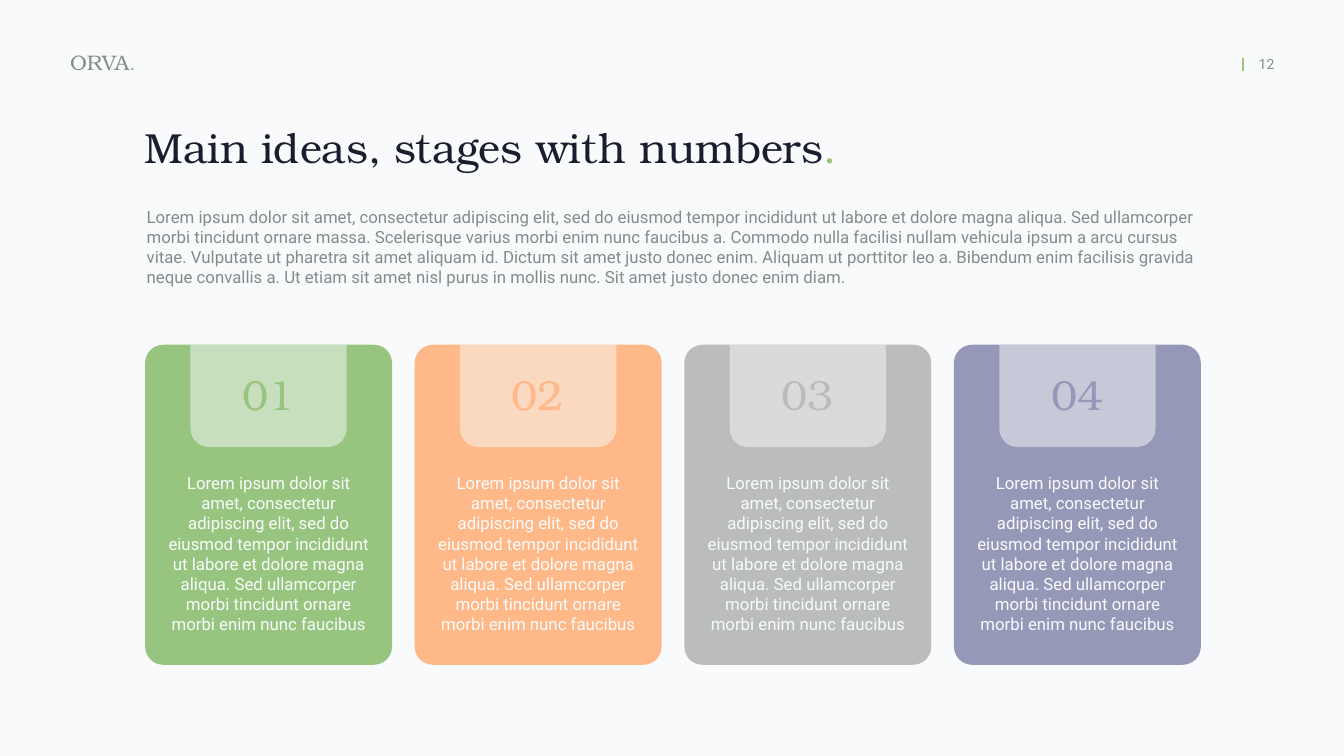
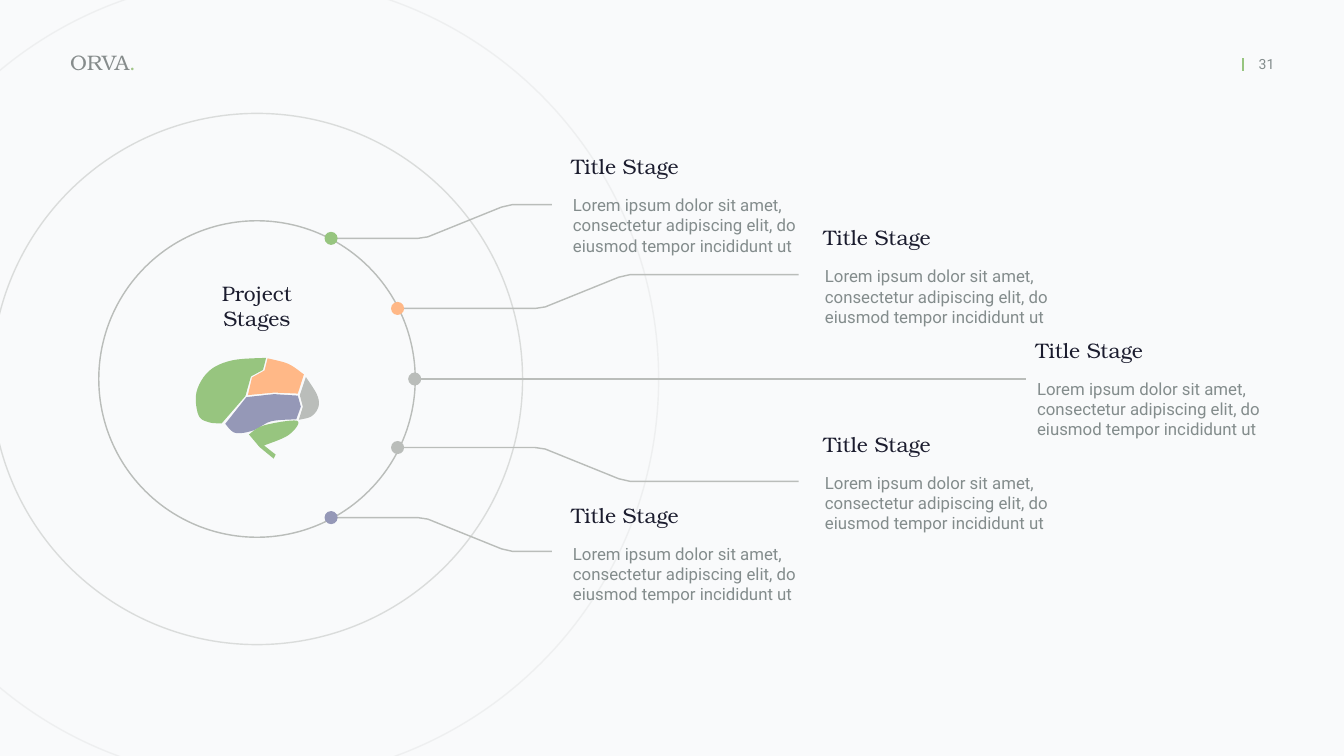
from dataclasses import dataclass
from lxml.etree import SubElement
from pptx import Presentation
from pptx.dml.color import RGBColor
from pptx.enum.shapes import MSO_CONNECTOR, MSO_SHAPE
from pptx.enum.text import MSO_ANCHOR, MSO_AUTO_SIZE, PP_ALIGN
from pptx.oxml.ns import qn
from pptx.util import Inches, Pt


@dataclass(frozen=True)
class Theme:
    serif: str = "TeX Gyre Bonum"
    sans: str = "Roboto"
    paper: str = "F9FAFB"
    ink: str = "1B1C2E"
    muted: str = "838C8C"
    brand: str = "868C8C"
    brand_dot: str = "A1C587"
    card_copy: str = "F8FBFC"
    green: str = "97C57F"
    orange: str = "FFB887"
    gray: str = "BABDBA"
    violet: str = "9598B7"
    display: int = 60
    heading: int = 30
    copy: int = 24
    page: int = 20
    rule: int = 2


@dataclass(frozen=True)
class Tier:
    hues: tuple
    dot_x: float
    dot_rise: float
    knee: float
    line_end: float
    label_left: float
    label_rise: float


THEME = Theme()
LOREM = "Lorem ipsum dolor sit amet, consectetur adipiscing elit, "
CARD_COPY = LOREM + (
    "sed do eiusmod tempor incididunt ut labore et dolore magna aliqua. "
    "Sed ullamcorper morbi tincidunt ornare morbi enim nunc faucibus"
)
INTRO = LOREM + (
    "sed do eiusmod tempor incididunt ut labore et dolore magna aliqua. "
    "Sed ullamcorper morbi tincidunt ornare massa. Scelerisque varius morbi enim "
    "nunc faucibus a. Commodo nulla facilisi nullam vehicula ipsum a arcu cursus "
    "vitae. Vulputate ut pharetra sit amet aliquam id. Dictum sit amet justo donec "
    "enim. Aliquam ut porttitor leo a. Bibendum enim facilisis gravida neque "
    "convallis a. Ut etiam sit amet nisl purus in mollis nunc. Sit amet justo donec "
    "enim diam."
)
STAGE_COPY = LOREM + "do eiusmod tempor incididunt ut"

CENTER = (5.1, 7.52)
TIERS = [
    Tier((THEME.green, THEME.violet), 6.57, 2.77, 8.29, 10.95, 11.28, 3.46),
    Tier((THEME.orange, THEME.gray), 7.89, 1.38, 10.62, 15.85, 16.28, 2.05),
]

LOBES = [
    (THEME.green,
     [(4.4, 8.4), (4.15, 8.38), (3.94, 8.24), (3.9, 7.78), (4.15, 7.36),
      (4.61, 7.15), (5.28, 7.1)],
     [(5.22, 7.34), (4.98, 7.47), (4.87, 7.86)]),
    (THEME.orange,
     [(5.31, 7.11), (5.72, 7.22), (6.03, 7.43)],
     [(5.91, 7.81), (5.44, 7.79), (4.92, 7.84), (5, 7.49), (5.25, 7.35)]),
    (THEME.gray,
     [(6.07, 7.48), (6.29, 7.83), (6.32, 8.07), (6.18, 8.26), (5.93, 8.33)],
     [(6.01, 8.07), (5.95, 7.84)]),
    (THEME.violet,
     [(5.88, 8.32), (5.38, 8.36), (5.03, 8.54), (4.67, 8.59), (4.47, 8.41)],
     [(4.89, 7.88), (5.44, 7.82), (5.91, 7.85), (5.97, 8.07)]),
    (THEME.green,
     [(4.94, 8.62), (5.24, 8.44), (5.9, 8.35), (5.73, 8.63), (5.24, 8.84)],
     [(5.47, 9.02), (5.43, 9.1), (5.15, 8.87)]),
]


def rgb(color):
    return RGBColor.from_string(color)


def box(*lengths):
    return [Inches(length) for length in lengths]


def write(holder, text, *, font=THEME.sans, size=THEME.copy, color=THEME.muted,
          align=PP_ALIGN.LEFT, anchor=MSO_ANCHOR.TOP, inset=0.06, dot=None):
    frame = holder.text_frame
    frame.word_wrap = True
    frame.auto_size = MSO_AUTO_SIZE.NONE
    frame.vertical_anchor = anchor
    frame.margin_left = frame.margin_right = Inches(inset)
    frame.margin_top = frame.margin_bottom = Inches(inset)
    paragraph = frame.paragraphs[0]
    paragraph.alignment = align
    for words, hue in [(text, color), (".", dot)]:
        if hue:
            run = paragraph.add_run()
            run.text = words
            run.font.name = font
            run.font.size = Pt(size)
            run.font.color.rgb = rgb(hue)


def add_label(shapes, place, text, **style):
    write(shapes.add_textbox(*box(*place)), text, **style)


def set_title(slide, place, text, **style):
    title = slide.shapes.title
    title.left, title.top, title.width, title.height = box(*place)
    write(title, text, font=THEME.serif, color=THEME.ink, **style)


def paint(shape, *, fill=None, line=None, opacity=100):
    shape.shadow.inherit = False
    if fill:
        shape.fill.solid()
        shape.fill.fore_color.rgb = rgb(fill)
    else:
        shape.fill.background()
    if line:
        shape.line.color.rgb = rgb(line)
        shape.line.width = Pt(THEME.rule)
    else:
        shape.line.fill.background()
    if opacity < 100:
        for hue in shape._element.spPr.iter(qn("a:srgbClr")):
            SubElement(hue, qn("a:alpha")).set("val", str(opacity * 1000))


def add_block(shapes, kind, place, *, corners=(), **look):
    block = shapes.add_shape(kind, *box(*place))
    for index, corner in enumerate(corners):
        block.adjustments[index] = corner
    paint(block, **look)


def add_circle(shapes, center, radius, **look):
    x, y = center
    place = (x - radius, y - radius, 2 * radius, 2 * radius)
    add_block(shapes, MSO_SHAPE.OVAL, place, **look)


def add_rule(shapes, start, end, color, width):
    rule = shapes.add_connector(MSO_CONNECTOR.STRAIGHT, *box(*start, *end))
    rule.line.color.rgb = rgb(color)
    rule.line.width = Pt(width)
    SubElement(rule._element.spPr, qn("a:effectLst"))


def smooth(knots, steps=6):
    padded = [knots[0], *knots, knots[-1]]
    points = [knots[0]]
    for before, start, end, after in zip(padded, padded[1:], padded[2:], padded[3:]):
        for step in range(1, steps + 1):
            t = step / steps
            points.append(tuple(
                b + t / 2 * (c - a + t * (2 * a - 5 * b + 4 * c - d
                                          + t * (3 * b - 3 * c + d - a)))
                for a, b, c, d in zip(before, start, end, after)))
    return points


def add_outline(shapes, outline, *, close=True, **look):
    points = [box(*point) for point in outline]
    builder = shapes.build_freeform(*points[0])
    builder.add_line_segments(points[1:], close=close)
    paint(builder.convert_to_shape(), **look)


def add_header(slide, number):
    shapes = slide.shapes
    add_rule(shapes, (24.67, 1.4), (24.67, 1.15), THEME.green, 3)
    add_label(shapes, (24.5, 1.05, 1.27, 0.44), number, size=THEME.page,
              align=PP_ALIGN.CENTER, inset=0.05)
    add_label(shapes, (1.33, 0.9, 1.84, 0.65), "ORVA", font=THEME.serif,
              size=THEME.heading, color=THEME.brand, dot=THEME.brand_dot,
              anchor=MSO_ANCHOR.MIDDLE)


def add_card(slide, left, number, hue):
    top = 6.84
    card = slide.shapes.add_group_shape().shapes
    add_block(card, MSO_SHAPE.ROUNDED_RECTANGLE, (left, top, 4.9, 6.35),
              corners=[0.073], fill=hue)
    add_block(card, MSO_SHAPE.ROUND_2_SAME_RECTANGLE, (left + 0.9, top, 3.1, 2.03),
              corners=[0, 0.18], fill=THEME.paper, opacity=50)
    add_label(card, (left + 1.38, top + 0.42, 2.13, 1.12), number, font=THEME.serif,
              size=THEME.display, color=hue, align=PP_ALIGN.CENTER)
    add_label(card, (left + 0.36, top + 2.48, 4.18, 3.34), CARD_COPY,
              color=THEME.card_copy, align=PP_ALIGN.CENTER)


def add_stage_text(shapes, left, top):
    add_label(shapes, (left + 0.03, top + 0.82, 5.36, 1.32), STAGE_COPY)
    add_label(shapes, (left, top, 2.74, 0.62), "Title Stage", font=THEME.serif,
              size=THEME.heading, color=THEME.ink)


def add_bent_stage(shapes, tier, side, hue):
    y = 7.5 + side * tier.dot_rise
    bends = [(0, 0), (0.2, 0.03), (1.66, 0.62), (1.88, 0.67)]
    outline = [(tier.knee + across, y + side * along) for across, along in bends]
    outline = [(tier.dot_x, y), *outline, (tier.line_end, outline[-1][1])]
    add_outline(shapes, outline, close=False, line=THEME.gray)
    add_circle(shapes, (tier.dot_x, y), 0.13, fill=hue)
    add_stage_text(shapes, tier.label_left, 6.45 + side * tier.label_rise)


def add_level_stage(shapes):
    start = (8.23, CENTER[1])
    add_rule(shapes, start, (20.35, CENTER[1]), THEME.gray, THEME.rule)
    add_circle(shapes, start, 0.13, fill=THEME.gray)
    add_stage_text(shapes, 20.49, 6.63)


def add_brain(slide):
    brain = slide.shapes.add_group_shape().shapes
    for hue, curve, corners in LOBES:
        add_outline(brain, smooth(curve) + corners, fill=hue)


def build_numbers(slide):
    add_header(slide, "12")
    hues = [THEME.green, THEME.orange, THEME.gray, THEME.violet]
    for index, hue in enumerate(hues):
        add_card(slide, 2.88 + 5.35 * index, f"{index + 1:02}", hue)
    add_label(slide.shapes, (2.85, 4.04, 21.09, 1.73), INTRO)
    set_title(slide, (2.81, 2.36, 14.13, 1.12), "Main ideas, stages with numbers",
              size=THEME.display, dot=THEME.green)


def build_stages(slide):
    add_header(slide, "31")
    add_brain(slide)
    for radius, opacity in [(3.14, 100), (5.27, 47), (7.97, 17)]:
        add_circle(slide.shapes, CENTER, radius, line=THEME.gray, opacity=opacity)
    for tier in TIERS:
        for side, hue in zip((-1, 1), tier.hues):
            add_bent_stage(slide.shapes, tier, side, hue)
    add_level_stage(slide.shapes)
    set_title(slide, (3.8, 5.51, 2.59, 1.12), "Project Stages",
              size=THEME.heading, align=PP_ALIGN.CENTER)


def main():
    deck = Presentation()
    deck.slide_width, deck.slide_height = box(26.67, 15)
    backdrop = deck.slide_master.background.fill
    backdrop.solid()
    backdrop.fore_color.rgb = rgb(THEME.paper)
    title_only = deck.slide_layouts[5]
    for build in (build_numbers, build_stages):
        build(deck.slides.add_slide(title_only))
    deck.save("out.pptx")


if __name__ == "__main__":
    main()
